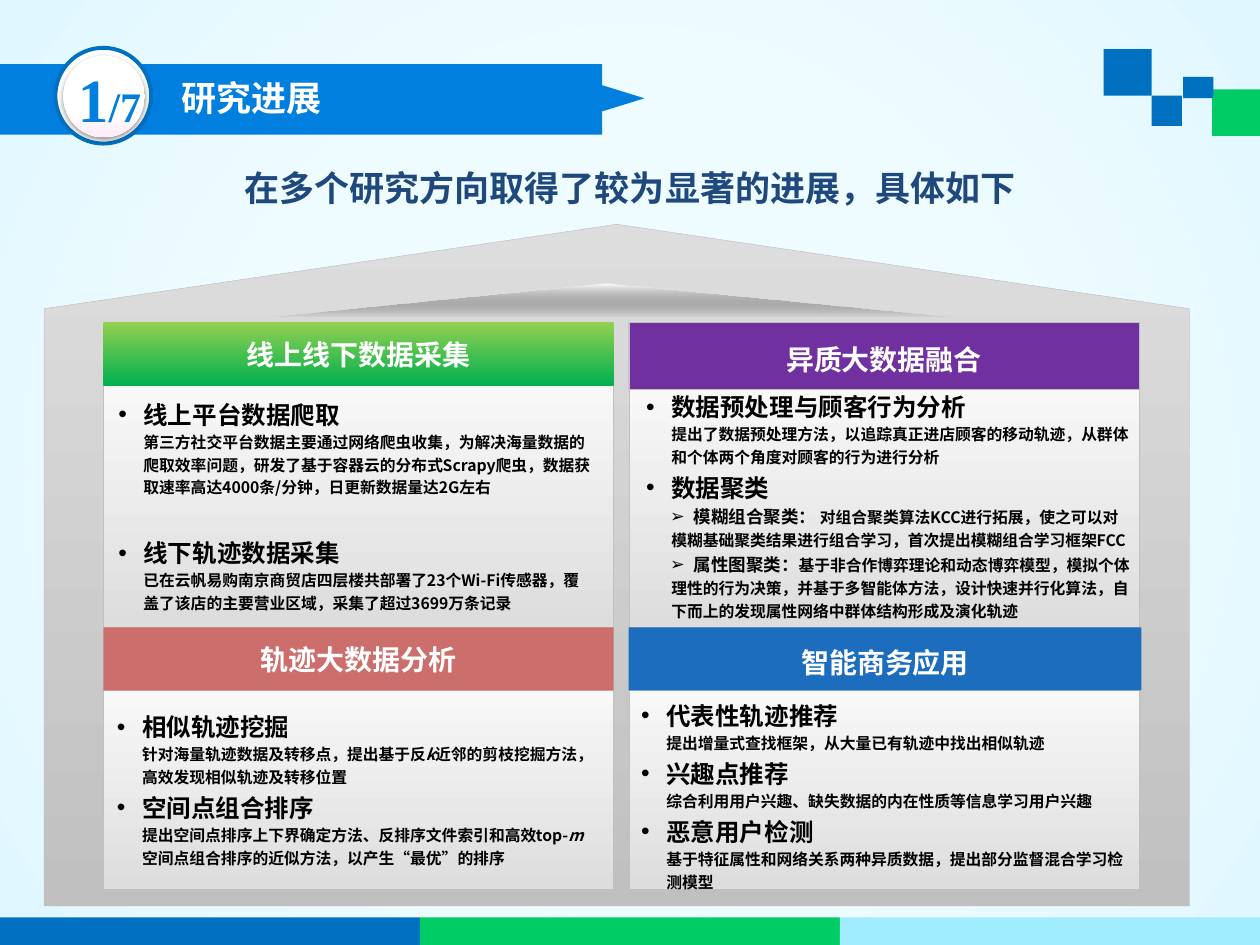
from lxml.etree import SubElement
from pptx import Presentation
from pptx.dml.color import RGBColor
from pptx.enum.shapes import MSO_SHAPE as Kind
from pptx.enum.text import MSO_ANCHOR as Anchor, MSO_AUTO_SIZE as Fit, PP_ALIGN as Align
from pptx.oxml.ns import qn
from pptx.util import Inches, Pt

WIDE, HIGH = 10, 7.5
SANS, SERIF = "Noto Sans CJK SC", "Times New Roman"
BLUE, AZURE, GREEN, GRAY = "0070C0", "007FDE", "00CC66", "C0C0C0"
COLS, ROWS = (0.82, 4.99), (2.56, 4.98)
CARD, HEAD = 4.05, 0.5
ENDS = (ROWS[1], 7.06)
ITALIC = {"italic": True}

# column, row, title, title style, panel text box, panel lines
CARDS = [
    (0, 0, "线上线下数据采集", {"fill": [(0, "92D050"), (100, "00B050")]},
     (0.84, 3.18, CARD, 1.63), [
        ("•", "线上平台数据爬取"),
        ("", "第三方社交平台数据主要通过网络爬虫收集，为解决海量数据的"),
        ("", "爬取效率问题，研发了基于容器云的分布式Scrapy爬虫，数据获"),
        ("", "取速率高达4000条/分钟，日更新数据量达2G左右"),
        ("•", ("线下轨迹数据采集", {"before": 20})),
        ("", "已在云帆易购南京商贸店四层楼共部署了23个Wi-Fi传感器，覆"),
        ("", "盖了该店的主要营业区域，采集了超过3699万条记录")]),
    (1, 0, "异质大数据融合", {"fill": "7030A0", "line": GRAY, "gap": 1.2, "high": 0.53},
     (5.03, 3.24, 3.9, 1.51), [
        ("•", "数据预处理与顾客行为分析"),
        ("", "提出了数据预处理方法，以追踪真正进店顾客的移动轨迹，从群体"),
        ("", "和个体两个角度对顾客的行为进行分析"),
        ("•", "数据聚类"),
        ("➢", ("模糊组合聚类： ", {"size": 10}), "对组合聚类算法KCC进行拓展，使之可以对"),
        ("", "模糊基础聚类结果进行组合学习，首次提出模糊组合学习框架FCC"),
        ("➢", ("属性图聚类：", {"size": 10}), "基于非合作博弈理论和动态博弈模型，模拟个体"),
        ("", "理性的行为决策，并基于多智能体方法，设计快速并行化算法，自"),
        ("", "下而上的发现属性网络中群体结构形成及演化轨迹")]),
    (0, 1, "轨迹大数据分析", {"fill": "CB6E6C"},
     (0.83, 5.51, CARD, 1.47), [
        ("•", "相似轨迹挖掘"),
        ("", "针对海量轨迹数据及转移点，提出基于反", ("k", ITALIC), "近邻的剪枝挖掘方法，"),
        ("", "高效发现相似轨迹及转移位置"),
        ("•", "空间点组合排序"),
        ("", "提出空间点排序上下界确定方法、反排序文件索引和高效top-", ("m", ITALIC)),
        ("", "空间点组合排序的近似方法，以产生“最优”的排序")]),
    (1, 1, "智能商务应用", {"fill": "1C6DBE", "gap": 1.2, "wide": 4.07},
     (4.99, 5.53, CARD, 1.53), [
        ("•", "代表性轨迹推荐"),
        ("", "提出增量式查找框架，从大量已有轨迹中找出相似轨迹"),
        ("•", "兴趣点推荐"),
        ("", "综合利用用户兴趣、缺失数据的内在性质等信息学习用户兴趣"),
        ("•", "恶意用户检测"),
        ("", "基于特征属性和网络关系两种异质数据，提出部分监督混合学习检"),
        ("", "测模型")]),
]


def color(code):
    return RGBColor.from_string(code)


def paint(fill, host, tint, radial=False):
    """Fill with one colour, or with (percent, colour[, alpha]) stops running down."""
    fill.solid()
    if isinstance(tint, str):
        fill.fore_color.rgb = color(tint)
        return
    node = host.find(qn("a:solidFill"))
    node.clear()
    node.tag = qn("a:gradFill")
    node.set("rotWithShape", "1")
    stops = SubElement(node, qn("a:gsLst"))
    for spot, code, *alpha in tint:
        stop = SubElement(stops, qn("a:gs"), pos=str(spot * 1000))
        tone = SubElement(stop, qn("a:srgbClr"), val=code)
        for part in alpha:
            SubElement(tone, qn("a:alpha"), val=str(part * 1000))
    if radial:
        way = SubElement(node, qn("a:path"), path="circle")
        SubElement(way, qn("a:fillToRect"), l="50000", t="50000", r="50000", b="50000")
    else:
        SubElement(node, qn("a:lin"), ang="5400000", scaled="0")


def style(item, fill, line=None, width=0.25):
    item.shadow.inherit = False
    paint(item.fill, item._element.spPr, fill)
    if line:
        item.line.color.rgb = color(line)
        item.line.width = Pt(width)
    else:
        item.line.fill.background()
    return item


def shape(slide, kind, spot, fill, **line):
    item = slide.shapes.add_shape(kind, *map(Inches, spot))
    return style(item, fill, **line)


def label(slide, spot, wrap=True, anchor=Anchor.TOP, fit=Fit.NONE):
    frame = slide.shapes.add_textbox(*map(Inches, spot)).text_frame
    frame.word_wrap, frame.vertical_anchor, frame.auto_size = wrap, anchor, fit
    return frame


def write(para, text, size=9, tint="000000", face=SANS, italic=False,
          align=None, gap=None, before=None, space=None):
    """Add a run to a paragraph, with its format."""
    if align is not None:
        para.alignment = align
    if gap:
        para.line_spacing = gap
    if before:
        para.space_before = Pt(before)
    run = para.add_run()
    run.text = text
    font = run.font
    font.size, font.bold, font.name = Pt(size), True, face
    if italic:
        font.italic = True
    font.color.rgb = color(tint)
    mark = run._r.get_or_add_rPr()
    SubElement(mark, qn("a:ea"), typeface=face)
    if space:
        mark.set("spc", str(space))


def bullet(para, mark):
    left, first = {"": (0.2, 0), "•": (0.2, -0.2), "➢": (0.38, -0.19)}[mark]
    props = para._p.get_or_add_pPr()
    props.set("marL", str(Inches(left)))
    props.set("indent", str(Inches(first)))
    if mark:
        SubElement(props, qn("a:buFont"), typeface="Arial")
        SubElement(props, qn("a:buChar"), char=mark)
    else:
        SubElement(props, qn("a:buNone"))


def banner(slide):
    shape(slide, Kind.RECTANGLE, (0, 0.51, 4.78, 0.56), AZURE)
    shape(slide, Kind.ISOSCELES_TRIANGLE, (4.84, 0.61, 0.21, 0.34), AZURE).rotation = 90
    shape(slide, Kind.OVAL, (0.44, 0.38, 0.76, 0.76), "FFFFFF", line=BLUE, width=2.25)
    disc = shape(slide, Kind.OVAL, (0.5, 0.44, 0.65, 0.65),
                 [(0, "FFFFFF"), (70, "FFFFFF"), (100, "FFEBFA")])
    glow = SubElement(disc._element.spPr.find(qn("a:effectLst")), qn("a:outerShdw"),
                      blurRad=str(Pt(3.1)), dist=str(Pt(1.6)), dir="5400000")
    SubElement(SubElement(glow, qn("a:srgbClr"), val="000000"), qn("a:alpha"), val="38000")
    page = label(slide, (0.52, 0.44, 0.86, 0.69), fit=Fit.SHAPE_TO_FIT_TEXT).paragraphs[0]
    for text, size, space in (("1", 35, -220), ("/", 24, 0), ("7", 24, 100)):
        write(page, text, size=size, tint=AZURE, face=SERIF, space=space)
    for spot, text, tint, align in (
            ((1.34, 0.56, 3.62, 0.44), "研究进展", "FFFFFF", Align.LEFT),
            ((0, 1.27, WIDE, 0.44), "在多个研究方向取得了较为显著的进展，具体如下", "1F497D", Align.CENTER)):
        frame = label(slide, spot, fit=Fit.SHAPE_TO_FIT_TEXT)
        write(frame.paragraphs[0], text, size=20, tint=tint, align=align)


def house(slide):
    wall = shape(slide, Kind.UP_ARROW_CALLOUT, (0.35, 1.78, 9.09, 5.41),
                 [(0, "DDDDDD"), (100, GRAY)], line=GRAY)
    for spot, ratio in enumerate((2.3, 1.15, 0.124, 0.876)):
        wall.adjustments[spot] = ratio
    path = slide.shapes.build_freeform(Inches(2.13), Inches(2.51))
    path.add_line_segments([(Inches(4.83), Inches(2.25)), (Inches(7.59), Inches(2.51))])
    style(path.convert_to_shape(), [(0, "FFFFFF"), (100, "000000", 0)])


def card(slide, col, row, title, look, spot, lines):
    left, top = COLS[col], ROWS[row]
    base = top + HEAD
    shape(slide, Kind.RECTANGLE, (left, base, CARD, ENDS[row] - base),
          [(0, "F8F8F8"), (100, "DDDDDD")], line=GRAY)
    size = look.get("wide", CARD), look.get("high", HEAD)
    head = shape(slide, Kind.RECTANGLE, (left, top, *size), look["fill"], line=look.get("line"))
    head.text_frame.vertical_anchor = Anchor.MIDDLE
    write(head.text_frame.paragraphs[0], title, size=16, tint="FFFFFF",
          align=Align.CENTER, gap=look.get("gap"))
    frame = label(slide, spot, wrap=False, anchor=Anchor.MIDDLE)
    for count, (mark, *runs) in enumerate(lines):
        para = frame.add_paragraph() if count else frame.paragraphs[0]
        bullet(para, mark)
        for run in runs:
            text, form = (run, {}) if isinstance(run, str) else run
            base_form = {"size": 14 if mark == "•" else 9, "align": Align.JUSTIFY, "gap": 1.2}
            write(para, text, **{**base_form, **form})


def trim(slide):
    for spot, tint in (((9.62, 0.71, 0.38, 0.37), GREEN), ((8.76, 0.39, 0.38, 0.37), BLUE),
                       ((9.14, 0.76, 0.24, 0.24), BLUE), ((9.39, 0.61, 0.24, 0.17), BLUE)):
        shape(slide, Kind.RECTANGLE, spot, tint)
    for count, tint in enumerate((BLUE, GREEN, "9FEDFF")):
        shape(slide, Kind.RECTANGLE, (count * WIDE / 3, HIGH - 0.22, WIDE / 3, 0.22), tint)


def main():
    deck = Presentation()
    deck.slide_width, deck.slide_height = Inches(WIDE), Inches(HIGH)
    slide = deck.slides.add_slide(deck.slide_layouts[6])
    back = slide.background.fill
    paint(back, slide._element.cSld.bg.bgPr,
          [(19, "EFFCFF"), (50, "EEFCFF"), (98, "E1F7FF")], radial=True)
    house(slide)
    for item in CARDS:
        card(slide, *item)
    banner(slide)
    trim(slide)
    deck.save("out.pptx")


if __name__ == "__main__":
    main()
